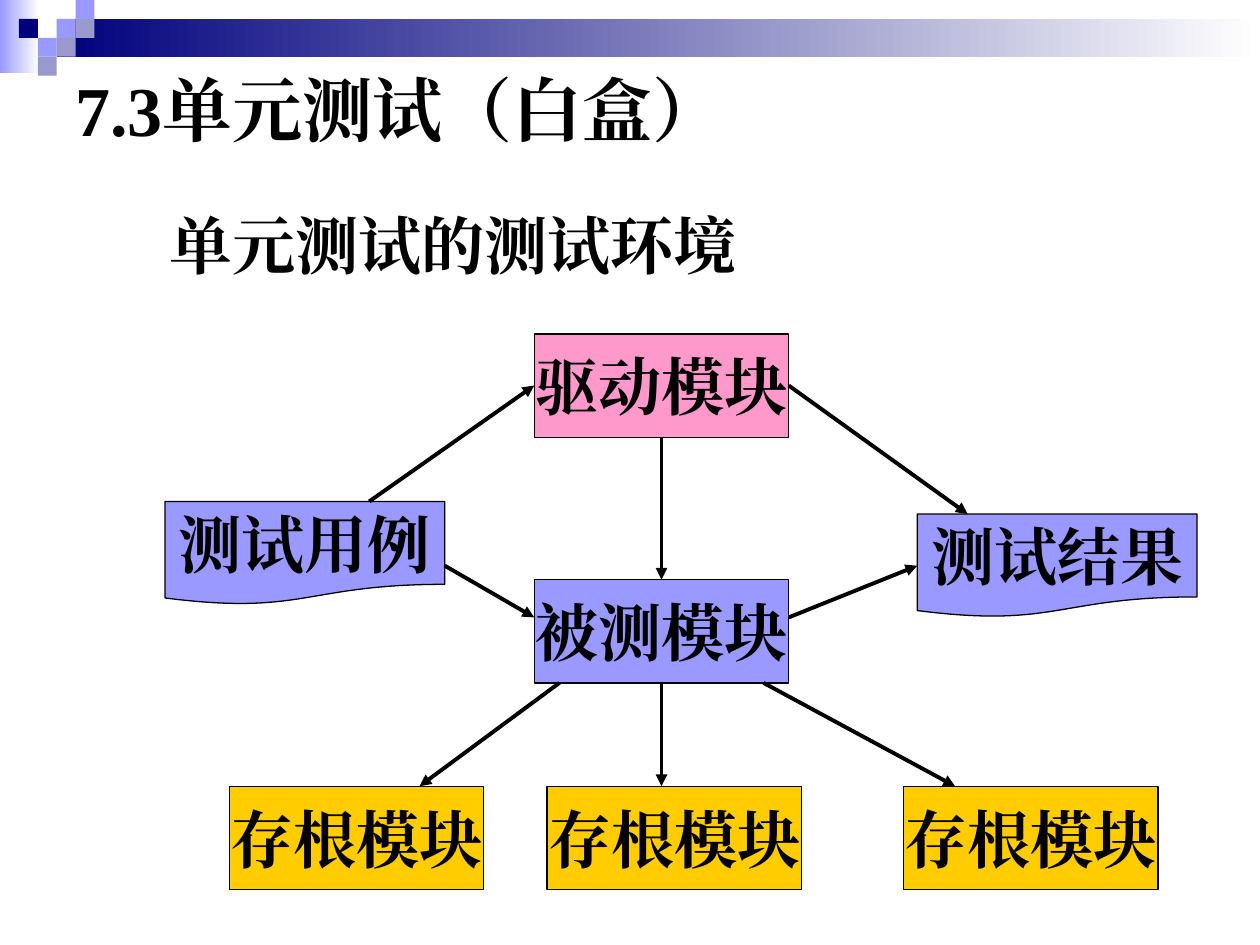
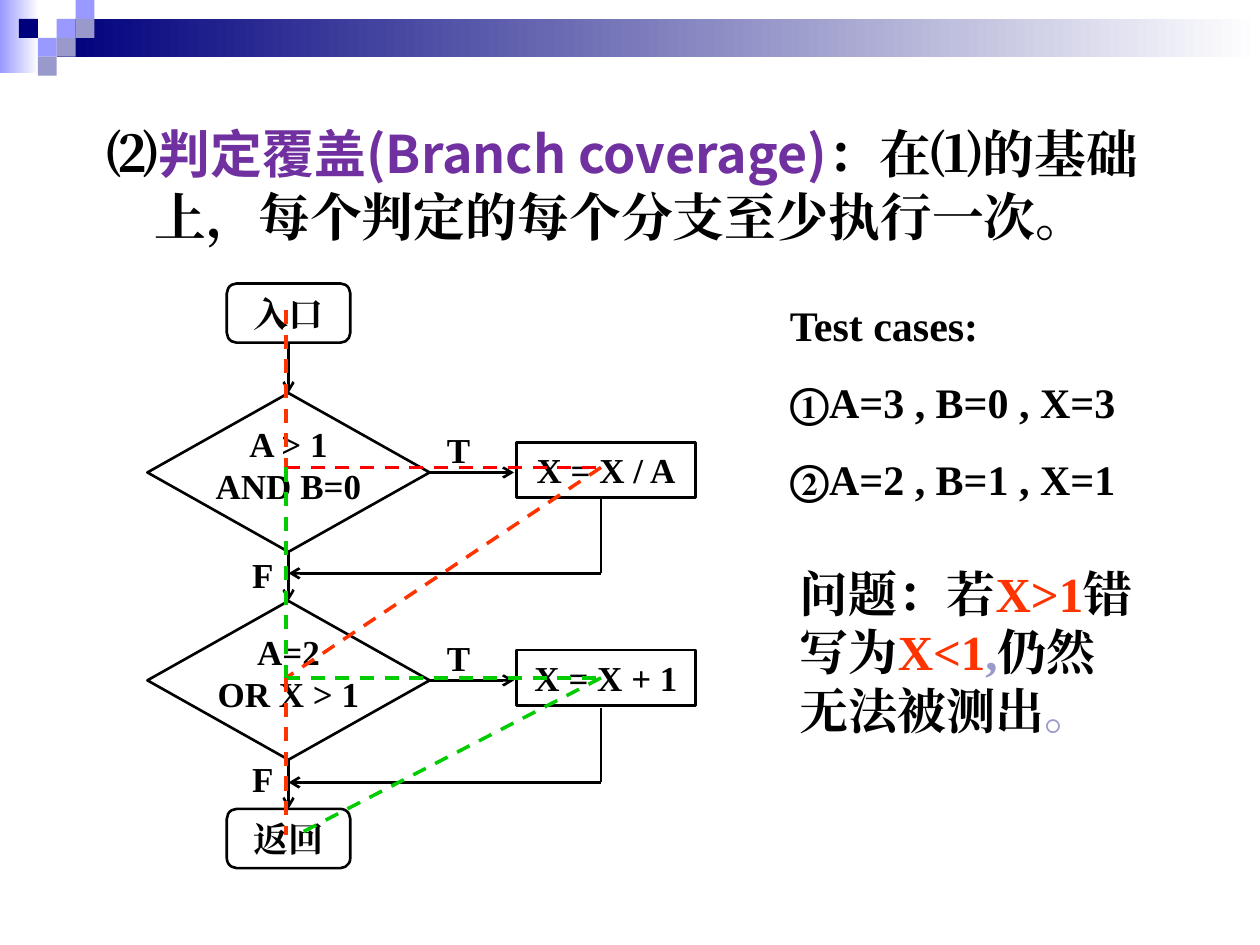
import pptx
import pptx.util
import pptx.dml.color
import pptx.enum.dml
import pptx.enum.shapes
import pptx.enum.text
import pptx.oxml
import pptx.oxml.ns

PX = 9144
SERIF, SANS = "Times New Roman", "Noto Sans CJK JP"
BLACK, WHITE, NAVY = "000000", "FFFFFF", "00007D"
LILAC, GREY, PINK, GOLD = "9999FF", "9999CC", "FF99CC", "FFCC00"
PURPLE, ORANGE, RED, GREEN = "7030A0", "FF3300", "FF0000", "00CC00"

MSO = pptx.enum.shapes.MSO_SHAPE
ALIGN = pptx.enum.text.PP_ALIGN
ANCHOR = pptx.enum.text.MSO_ANCHOR
TOP, LEFT, BOTTOM, RIGHT = range(4)


def px(n):
    return pptx.util.Emu(n * PX)


def rgb(color):
    return pptx.dml.color.RGBColor.from_string(color)


def apply(obj, values):
    for name, value in values.items():
        setattr(obj, name, value)


class Deck:
    def __init__(self):
        self.prs = pptx.Presentation()
        apply(self.prs, {"slide_width": px(1000), "slide_height": px(750)})
        self.s = None

    def slide(self):
        self.s = self.prs.slides.add_slide(self.prs.slide_layouts[6])
        self.shape((0, 0, 31, 58), (LILAC, WHITE))
        self.shape((45, 15, 955, 30), (NAVY, WHITE))
        for col, row, color in [(3, 1, LILAC), (4, 0, LILAC), (4, 1, GREY), (2, 2, LILAC),
                                (1, 1, NAVY), (3, 2, GREY), (2, 3, GREY)]:
            self.shape((15 * col, 15 * row, 15, 15), color)

    def shape(self, box, fill=None, kind=MSO.RECTANGLE, line=None):
        sp = self.s.shapes.add_shape(kind, *map(px, box))
        sp.shadow.inherit = False
        if fill is None:
            sp.fill.background()
        elif isinstance(fill, tuple):
            sp.fill.gradient()
            sp.fill.gradient_angle = 0
            for stop, color in zip(sp.fill.gradient_stops, fill):
                stop.color.rgb = rgb(color)
        else:
            sp.fill.solid()
            sp.fill.fore_color.rgb = rgb(fill)
        if line:
            sp.line.color.rgb = rgb(BLACK)
            sp.line.width = pptx.util.Pt(line)
        else:
            sp.line.fill.background()
        return sp

    def put_text(self, sp, paras, size, align=ALIGN.LEFT, anchor=ANCHOR.TOP, wrap=True,
                 before=0, hang=0, insets=(10, 5, 10, 5)):
        tf = sp.text_frame
        sides = ("margin_left", "margin_top", "margin_right", "margin_bottom")
        apply(tf, {"word_wrap": wrap, "vertical_anchor": anchor,
                   **dict(zip(sides, map(px, insets)))})
        for i, runs in enumerate(paras):
            p = tf.paragraphs[0] if i == 0 else tf.add_paragraph()
            apply(p, {"alignment": align, "space_before": pptx.util.Pt(before)})
            if hang:
                pPr = p._p.get_or_add_pPr()
                pPr.set("marL", str(px(hang)))
                pPr.set("indent", str(px(-hang)))
            for run in [(runs,)] if isinstance(runs, str) else runs:
                self.add_run(p, size, *run)
        return sp

    def add_run(self, p, size, text, color=BLACK, font=SERIF):
        r = p.add_run()
        r.text = text
        apply(r.font, {"size": pptx.util.Pt(size), "bold": True, "name": font})
        r.font.color.rgb = rgb(color)
        ea = pptx.oxml.ns.qn("a:ea")
        r._r.get_or_add_rPr().append(r._r.makeelement(ea, {"typeface": font}))

    def text(self, box, paras, size, **fmt):
        sp = self.s.shapes.add_textbox(*map(px, box))
        return self.put_text(sp, paras, size, **fmt)

    def node(self, box, paras, size, fill=None, kind=MSO.RECTANGLE, line=0.75, **fmt):
        sp = self.shape(box, fill, kind, line)
        fmt = {"align": ALIGN.CENTER, "anchor": ANCHOR.MIDDLE, "wrap": False, **fmt}
        return self.put_text(sp, paras, size, **fmt)

    def line(self, start, end, width, color=BLACK, head=None, dash=False):
        ends = [(0, 0) if hasattr(e[0], "shape_id") else e for e in (start, end)]
        c = self.s.shapes.add_connector(pptx.enum.shapes.MSO_CONNECTOR.STRAIGHT,
                                        *(px(n) for e in ends for n in e))
        for point, connect in ((start, c.begin_connect), (end, c.end_connect)):
            if hasattr(point[0], "shape_id"):
                connect(*point)
        c.line.color.rgb = rgb(color)
        c.line.width = pptx.util.Pt(width)
        if dash:
            c.line.dash_style = pptx.enum.dml.MSO_LINE.DASH
        qn = pptx.oxml.ns.qn
        spPr = c._element.spPr
        if head:
            spPr.find(qn("a:ln")).append(spPr.makeelement(qn("a:tailEnd"), {"type": head}))
        spPr.append(spPr.makeelement(qn("a:effectLst"), {}))


def unit_test_slide(d):
    d.slide()

    def module(x, y, name, fill):
        return d.node((x, y, 202, 82), [name], 36, fill)

    def document(x, y, name):
        return d.node((x, y, 222, 82), [name], 36, LILAC, MSO.FLOWCHART_DOCUMENT)

    tested = module(424, 460, "被测模块", LILAC)
    driver = module(424, 265, "驱动模块", PINK)
    for x in (182, 434, 717):
        module(x, 624, "存根模块", GOLD)
    document(131, 398, "测试用例")
    document(728, 408, "测试结果")

    for start, end in [((driver, BOTTOM), (tested, TOP)),
                       ((tested, BOTTOM), (525, 624)),
                       ((444, 542), (333, 624)),
                       ((606, 542), (758, 624)),
                       ((353, 449), (424, 490)),
                       ((293, 398), (driver, LEFT)),
                       ((driver, RIGHT), (768, 408)),
                       ((626, 490), (728, 449))]:
        d.line(start, end, 2.25, head="triangle")

    d.text((125, 159, 501, 70), ["单元测试的测试环境"], 36)
    d.text((50, 50, 900, 73), ["7.3单元测试（白盒）"], 40, anchor=ANCHOR.MIDDLE)


def branch_coverage_slide(d):
    d.slide()
    d.text((75, 92, 850, 117),
           [[("⑵",), ("判定覆盖(Branch coverage)", PURPLE, SANS),
             ("：在⑴的基础上，每个判定的每个分支至少执行一次。",)]],
           29.6, before=8, hang=38)
    d.text((617, 233, 300, 172),
           ["Test cases:", "①A=3 , B=0 , X=3", "②A=2 , B=1 , X=1"], 24, before=15)
    d.text((625, 442, 292, 150),
           [[("问题：若",), ("X>1", ORANGE), ("错写为",), ("X<1", ORANGE), (",", GREY),
             ("仍然无法被测出",), ("。", GREY)]], 28, before=17.5)

    def terminal(y, name):
        return d.node((180, y, 98, 47), [name], 20, line=1.5,
                      kind=MSO.FLOWCHART_ALTERNATE_PROCESS)

    def flow(start, end):
        d.line(start, end, 1.5, head="arrow")

    entry, leave = terminal(225, "入口"), terminal(642, "返回")
    decisions = []
    for y, condition, action, merge_y, f_y in [
            (312, ["A > 1", "AND B=0"], "X = X / A", 455, 434),
            (477, ["A=2", "OR X > 1"], "X = X + 1", 621, 596)]:
        decision = d.node((117, y, 224, 126), condition, 20, line=1.5,
                          kind=MSO.FLOWCHART_DECISION, insets=(2, 1, 2, 13))
        decisions.append(decision)
        flow((decision, RIGHT), (408, y + 63))
        d.text((335, y + 23, 58, 44), ["T"], 20, align=ALIGN.CENTER, before=12.5)
        d.node((410, y + 39, 142, 44), [action], 20, line=1.5, anchor=ANCHOR.TOP,
               wrap=True, before=12.5)
        flow((477, merge_y), (229, merge_y))
        d.line((477, merge_y - 59), (477, merge_y), 1.5)
        d.text((185, f_y, 42, 44), ["F"], 20, align=ALIGN.RIGHT, before=12.5)

    steps = [entry, *decisions, leave]
    for upper, lower in zip(steps, steps[1:]):
        flow((upper, BOTTOM), (lower, TOP))

    first, first_action = (227, 371), (477, 371)
    second, second_action = (227, 538), (477, 538)
    for start, end, color in [((227, 246), first, ORANGE),
                              (first, first_action, RED),
                              (first_action, second, ORANGE),
                              (second, second_action, GREEN),
                              (second_action, (235, 663), GREEN),
                              (second, (227, 663), ORANGE),
                              (first, second, GREEN)]:
        d.line(start, end, 2, color, dash=True)


def main():
    d = Deck()
    unit_test_slide(d)
    branch_coverage_slide(d)
    d.prs.save("out.pptx")


if __name__ == "__main__":
    main()
